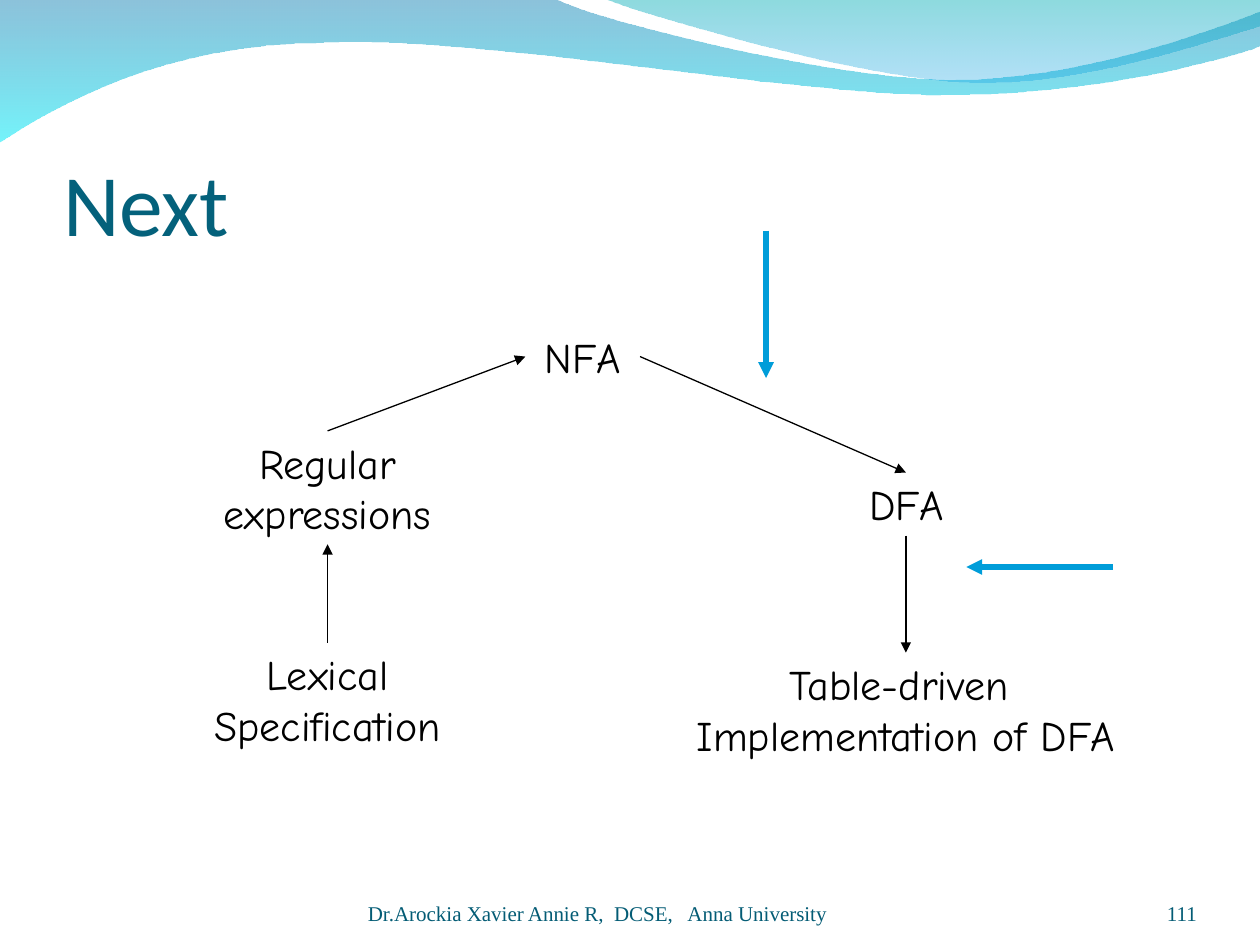
from dataclasses import dataclass

from pptx import Presentation
from pptx.dml.color import RGBColor
from pptx.enum.shapes import MSO_CONNECTOR
from pptx.enum.text import MSO_ANCHOR, MSO_AUTO_SIZE, PP_ALIGN
from pptx.oxml.ns import qn
from pptx.util import Pt
from lxml import etree

PX = 9144  # EMU per px, 100 px to the inch
STRAIGHT = MSO_CONNECTOR.STRAIGHT
TOP, BOTTOM = MSO_ANCHOR.TOP, MSO_ANCHOR.BOTTOM
LEFT, CENTER, RIGHT = PP_ALIGN.LEFT, PP_ALIGN.CENTER, PP_ALIGN.RIGHT
FIT_SHAPE, FIT_NONE = MSO_AUTO_SIZE.SHAPE_TO_FIT_TEXT, MSO_AUTO_SIZE.NONE


@dataclass(frozen=True)
class Theme:
    title: str = "04617B"
    footer: str = "045C75"
    ink: str = "000000"
    accent: str = "009DD9"
    title_font: str = "Calibri"
    label_font: str = "Comic Neue"
    footer_font: str = "Times New Roman"
    title_size: int = 50
    label_size: int = 24
    footer_size: int = 12
    thin: float = 0.75
    thick: float = 3


theme = Theme()


def write_text(box, text, *, font, size, color, align=LEFT, anchor=TOP,
               insets=(0, 0, 0, 0), wrap=True, fit=FIT_NONE):
    """Fill a box, one paragraph per line; insets run left, top, right, bottom."""
    frame = box.text_frame
    frame.text = text
    frame.word_wrap = wrap
    frame.auto_size = fit
    frame.vertical_anchor = anchor
    (frame.margin_left, frame.margin_top,
     frame.margin_right, frame.margin_bottom) = (inset * PX for inset in insets)
    for para in frame.paragraphs:
        para.alignment = align
        para.font.name = font
        para.font.size = Pt(size)
        para.font.color.rgb = RGBColor.from_string(color)


def bend_segments(shape, segments):
    """Join the three lines of each three-point segment into one Bezier curve."""
    lines = iter(list(shape._element.iter(qn("a:lnTo"))))
    for segment in segments:
        sides = [next(lines) for _ in segment]
        if len(sides) == 3:
            curve = etree.Element(qn("a:cubicBezTo"))
            sides[0].addprevious(curve)
            for side in sides:
                curve.append(side[0])
                side.getparent().remove(side)


deck = Presentation()
deck.slide_width, deck.slide_height = 1000 * PX, 750 * PX
page = deck.slides.add_slide(deck.slide_layouts[5])

# Header waves: start, then segments of one point (straight) or three (curve),
# then gradient stops as colour and opacity in percent, from top to bottom.
waves = [
    ((0, -1),
     [[(440, -1)],
      [(476, 17), (664, 63), (758, 63)], [(853, 63), (958, 26), (1000, 9)],
      [(1001, 36)],
      [(983, 44), (870, 76), (746, 75)], [(622, 75), (382, 28), (257, 34)],
      [(129, 35), (46, 83), (-1, 113)]],
     [("0079AF", 45), ("00EBF8", 55)]),
    ((479, -1),
     [[(509, 11), (682, 62), (769, 65)], [(856, 69), (961, 32), (1000, 21)],
      [(1000, 0)]],
     [("00ADB6", 45), ("009BE5", 30)]),
]
for start, segments, stops in waves:
    builder = page.shapes.build_freeform(*start, scale=PX)
    builder.add_line_segments(sum(segments, []), close=True)
    wave = builder.convert_to_shape()
    bend_segments(wave, segments)
    wave.shadow.inherit = False
    wave.line.fill.background()
    wave.fill.gradient()
    wave.fill.gradient_angle = 270
    for stop, (color, _) in zip(wave.fill.gradient_stops, stops):
        stop.color.rgb = RGBColor.from_string(color)
    tints = wave._element.spPr.iter(qn("a:srgbClr"))
    for tint, (_, opacity) in zip(list(tints), stops):
        etree.SubElement(tint, qn("a:alpha"), val=str(opacity * 1000))

title = page.shapes.title
title.left, title.top, title.width, title.height = 50 * PX, 77 * PX, 900 * PX, 125 * PX
write_text(title, "Next", font=theme.title_font, size=theme.title_size,
           color=theme.title, anchor=BOTTOM, insets=(0, 5, 0, 0))

labels = [
    ("Regular\nexpressions", 167, 342, 186, 90),
    ("NFA", 422, 258, 81, 50),
    ("DFA", 680, 375, 79, 50),
    ("Lexical\nSpecification", 159, 510, 202, 90),
    ("Table-driven \nImplementation of DFA", 542, 518, 354, 90),
]
for text, *place in labels:
    label = page.shapes.add_textbox(*(length * PX for length in place))
    write_text(label, text, font=theme.label_font, size=theme.label_size,
               color=theme.ink, align=CENTER, insets=(10, 5, 10, 5),
               wrap=False, fit=FIT_SHAPE)

flow = (theme.ink, theme.thin)
pointer = (theme.accent, theme.thick)
arrows = [
    (260, 510, 260, 432, flow),
    (260, 342, 417, 283, flow),
    (508, 283, 719, 375, flow),
    (719, 425, 719, 518, flow),
    (608, 183, 608, 300, pointer),
    (883, 450, 767, 450, pointer),
]
for *ends, (color, weight) in arrows:
    arrow = page.shapes.add_connector(STRAIGHT, *(length * PX for length in ends))
    arrow.line.color.rgb = RGBColor.from_string(color)
    arrow.line.width = Pt(weight)
    etree.SubElement(arrow.line._get_or_add_ln(), qn("a:tailEnd"), type="triangle")
    etree.SubElement(arrow._element.spPr, qn("a:effectLst"))

footers = [
    ("Dr.Arockia Xavier Annie R,  DCSE,   Anna University", 292, 367, LEFT),
    ("111", 867, 83, RIGHT),
]
for text, left, width, align in footers:
    footer = page.shapes.add_textbox(left * PX, 695 * PX, width * PX, 40 * PX)
    write_text(footer, text, font=theme.footer_font, size=theme.footer_size,
               color=theme.footer, align=align, anchor=BOTTOM)

deck.save("out.pptx")
